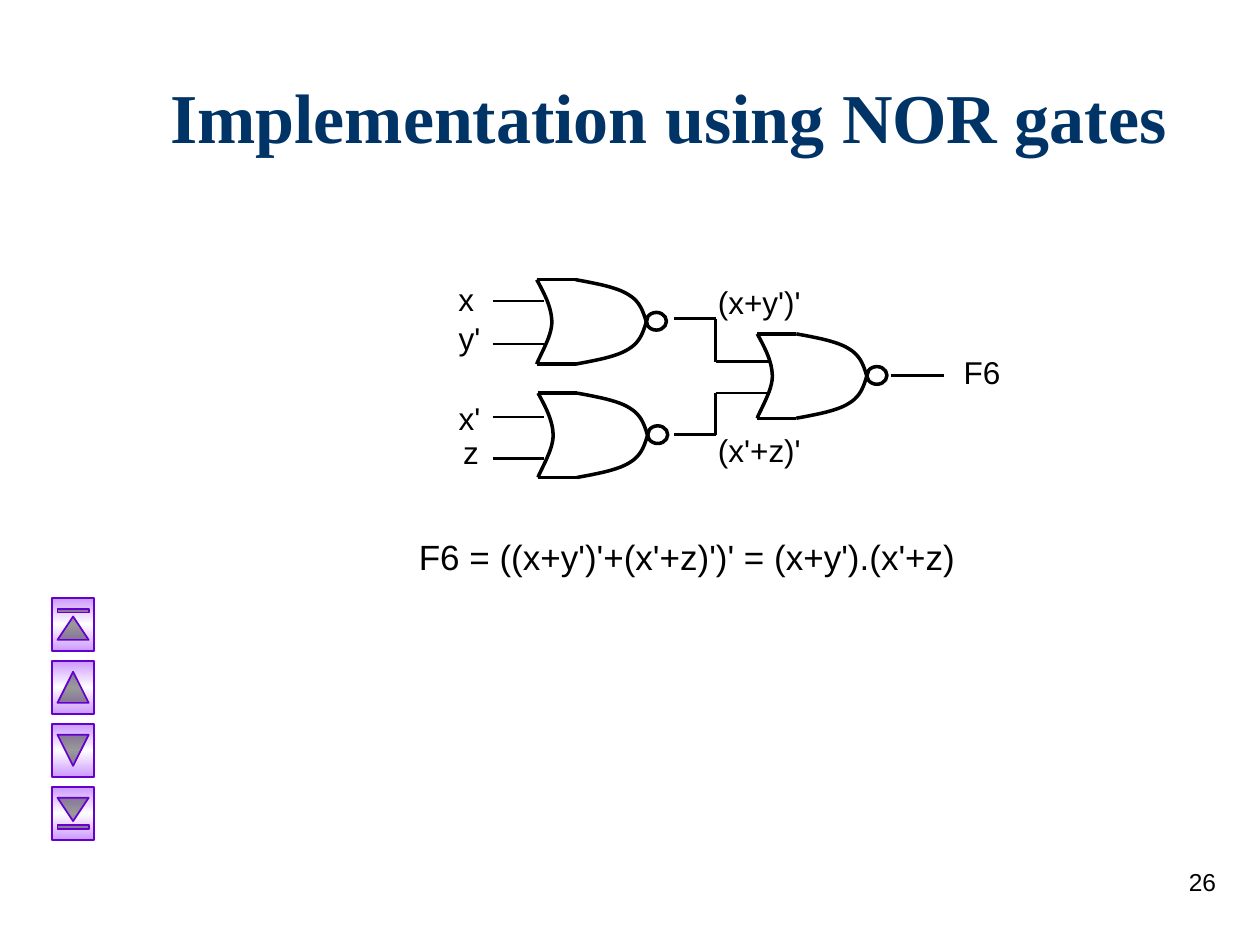
from copy import deepcopy
from dataclasses import dataclass
from typing import NamedTuple

from lxml import etree
from pptx import Presentation
from pptx import util as u
from pptx.dml.color import RGBColor
from pptx.enum import shapes, text
from pptx.oxml.ns import qn


@dataclass(frozen=True)
class Theme:
    ink: str = "000000"
    title: str = "003366"
    edge: str = "6600CC"
    fade: tuple = ("CC99FF", "FFFFFF", "CC99FF")
    serif: str = "Times New Roman"
    sans: str = "Arial"
    head: int = 40
    sum: int = 20
    label: int = 18
    page: int = 14
    wire: float = 1.5
    gate: float = 2
    frame: float = 1


class Label(NamedTuple):
    words: str
    x: float
    y: float
    w: float
    h: float = 0.4
    size: int = 18
    align: text.PP_ALIGN = text.PP_ALIGN.LEFT


class Wire(NamedTuple):
    x1: float
    y1: float
    x2: float
    y2: float


class Gate(NamedTuple):
    x: float
    y: float


T = Theme()
RIGHT, MID = text.PP_ALIGN.RIGHT, text.PP_ALIGN.CENTER

LABELS = [
    Label("x", 3.44, 2.17, 0.42, align=RIGHT),
    Label("y'", 3.49, 2.48, 0.42, align=RIGHT),
    Label("x'", 3.49, 3.12, 0.42, align=RIGHT),
    Label("z", 3.57, 3.39, 0.33, align=RIGHT),
    Label("(x+y')'", 5.6, 2.2, 0.9),
    Label("(x'+z)'", 5.6, 3.37, 0.9),
    Label("F6", 7.55, 2.75, 0.58),
    Label("F6 = ((x+y')'+(x'+z)')' = (x+y').(x'+z)",
          3.04, 4.2, 4.83, 0.5, T.sum, MID),
    Label("26", 7.67, 6.83, 2.08, 0.5, T.page, RIGHT),
]
# Inputs, then the two bent links, then the output
WIRES = [Wire(3.91, y, 4.32, y) for y in (2.39, 2.73, 3.31, 3.64)]
for start, end in ((2.53, 2.87), (3.45, 3.12)):
    WIRES += [Wire(5.35, start, 5.68, start), Wire(5.68, start, 5.68, end),
              Wire(5.68, end, 6.1, end)]
WIRES.append(Wire(7.07, 2.98, 7.49, 2.98))

GATES = [Gate(4.26, 2.22), Gate(6.01, 2.65), Gate(4.27, 3.12)]
# Bezier points from a gate's top left corner
TALL = 0.67
BACK = [(0, 0), (0.06, 0.11), (0.12, 0.22), (0.12, 0.34),
        (0.12, 0.45), (0.02, 0.61), (0, TALL)]
UPPER = [(0.31, 0), (0.47, 0.03), (0.64, 0.06), (0.73, 0.12),
         (0.83, 0.18), (0.85, 0.27), (0.88, 0.37)]
LOWER = [(x, TALL - y) for x, y in UPPER]

KIND = shapes.MSO_SHAPE
BUTTONS = [KIND.ACTION_BUTTON_BEGINNING, KIND.ACTION_BUTTON_BACK_OR_PREVIOUS,
           KIND.ACTION_BUTTON_FORWARD_OR_NEXT, KIND.ACTION_BUTTON_END]


def apply(item, **vals) -> None:
    for key, val in vals.items():
        setattr(item, key, val)


def ink(font, size: int, name: str, color: str, bold: bool = False) -> None:
    apply(font, size=u.Pt(size), name=name, bold=bold)
    font.color.rgb = RGBColor.from_string(color)


def pen(line, width: float, color: str = T.ink) -> None:
    line.width = u.Pt(width)
    line.color.rgb = RGBColor.from_string(color)


def write(slide, lab: Label) -> None:
    box = slide.shapes.add_textbox(*map(u.Inches, lab[1:5]))
    frame = box.text_frame
    apply(frame, word_wrap=True, text=lab.words)
    para = frame.paragraphs[0]
    para.alignment = lab.align
    ink(para.runs[0].font, lab.size, T.sans, T.ink)


def link(slide, wire: Wire, width: float = T.wire) -> None:
    line = slide.shapes.add_connector(
        shapes.MSO_CONNECTOR.STRAIGHT, *map(u.Inches, wire))
    pen(line.line, width)
    etree.SubElement(line._element.spPr, qn("a:effectLst"))


def trace(pts: list, steps: int = 12) -> list:
    """Points along a chain of cubic curves."""
    out = [pts[0]]
    for i in range(0, len(pts) - 1, 3):
        for n in range(1, steps + 1):
            t = n / steps
            mix = ((1 - t)**3, 3 * t * (1 - t)**2, 3 * t * t * (1 - t), t**3)
            out.append(tuple(sum(m * p[k] for m, p in zip(mix, pts[i:i + 4]))
                             for k in (0, 1)))
    return out


def outline(shape) -> None:
    shape.shadow.inherit = False
    shape.fill.background()
    pen(shape.line, T.gate)


def draw(slide, gate: Gate) -> None:
    ring = slide.shapes.add_shape(KIND.OVAL, *map(
        u.Inches, (gate.x + 0.87, gate.y + 0.26, 0.16, 0.14)))
    outline(ring)
    for curve in (BACK, UPPER, LOWER):
        pts = [(u.Inches(gate.x + x), u.Inches(gate.y + y))
               for x, y in trace(curve)]
        path = slide.shapes.build_freeform(*pts[0])
        path.add_line_segments(pts[1:], close=False)
        outline(path.convert_to_shape())
    for y in (gate.y, gate.y + TALL):
        link(slide, Wire(gate.x, y, gate.x + 0.31, y), T.gate)


def button(slide, kind, top: float) -> None:
    key = slide.shapes.add_shape(
        kind, *map(u.Inches, (0.37, top, 0.42, 0.33)))
    key.rotation = 90
    key.shadow.inherit = False
    key.fill.gradient()
    key.fill.gradient_angle = 270
    # Third colour stop, with the blend held upright
    grad = key._element.spPr.find(qn("a:gradFill"))
    grad.set("rotWithShape", "0")
    stops = grad.find(qn("a:gsLst"))
    stops.append(deepcopy(stops[0]))
    for i, (stop, color) in enumerate(zip(key.fill.gradient_stops, T.fade)):
        stop.position = i / 2
        stop.color.rgb = RGBColor.from_string(color)
    pen(key.line, T.frame, T.edge)


def main() -> None:
    prs = Presentation()
    apply(prs, slide_width=u.Inches(10), slide_height=u.Inches(7.5))
    slide = prs.slides.add_slide(prs.slide_layouts[5])

    # Title
    title = slide.shapes.title
    apply(title, left=u.Inches(1.25), top=u.Inches(0.5),
          width=u.Inches(8.5), height=u.Inches(0.83))
    apply(title.text_frame, text="Implementation using NOR gates",
          vertical_anchor=text.MSO_ANCHOR.MIDDLE, word_wrap=True)
    para = title.text_frame.paragraphs[0]
    para.alignment = text.PP_ALIGN.LEFT
    ink(para.runs[0].font, T.head, T.serif, T.title, True)

    # Circuit
    for wire in WIRES:
        link(slide, wire)
    for gate in GATES:
        draw(slide, gate)
    for lab in LABELS:
        write(slide, lab)

    # Navigation buttons
    for i, kind in enumerate(BUTTONS):
        button(slide, kind, 4.79 + 0.5 * i)

    prs.save("out.pptx")


if __name__ == "__main__":
    main()
